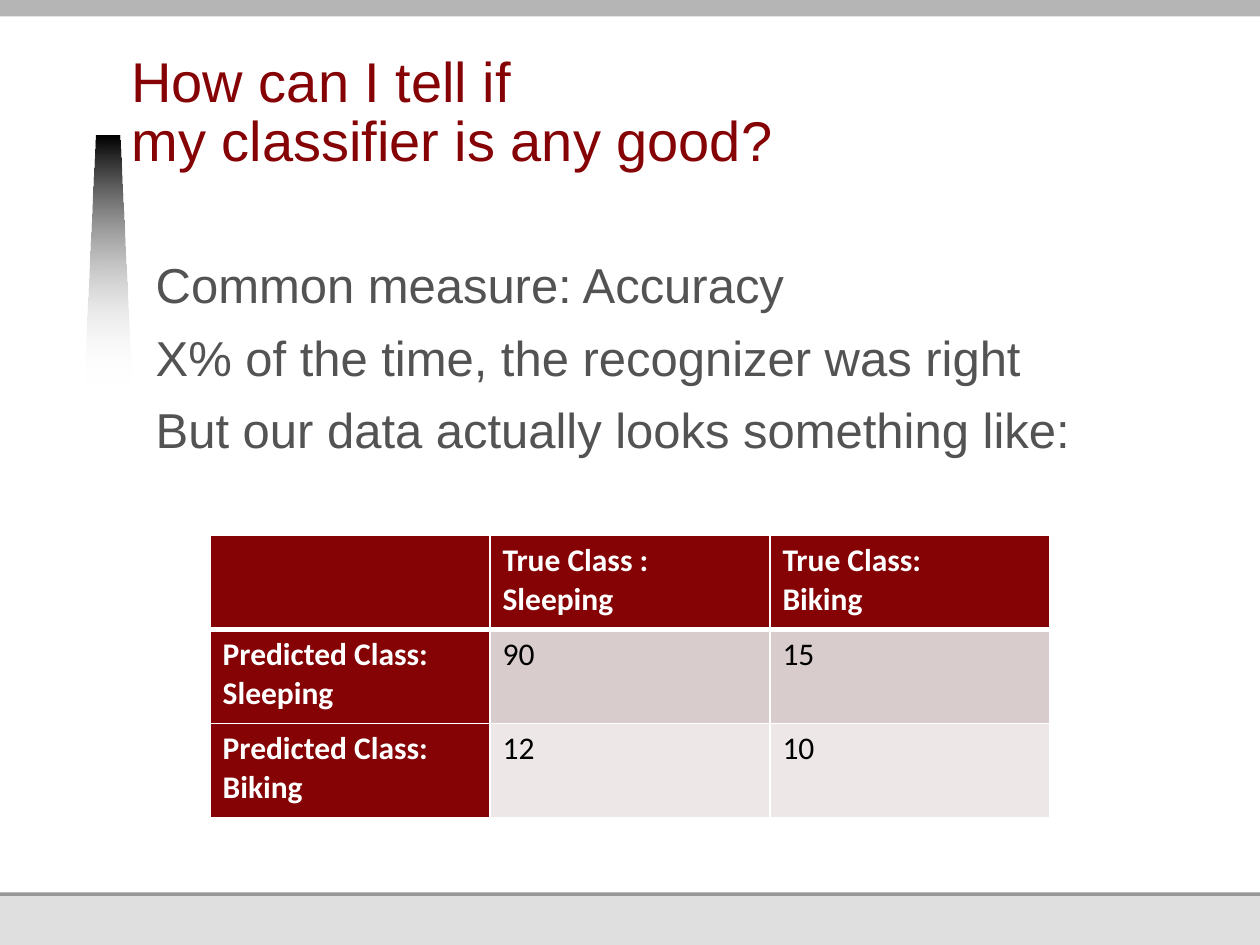
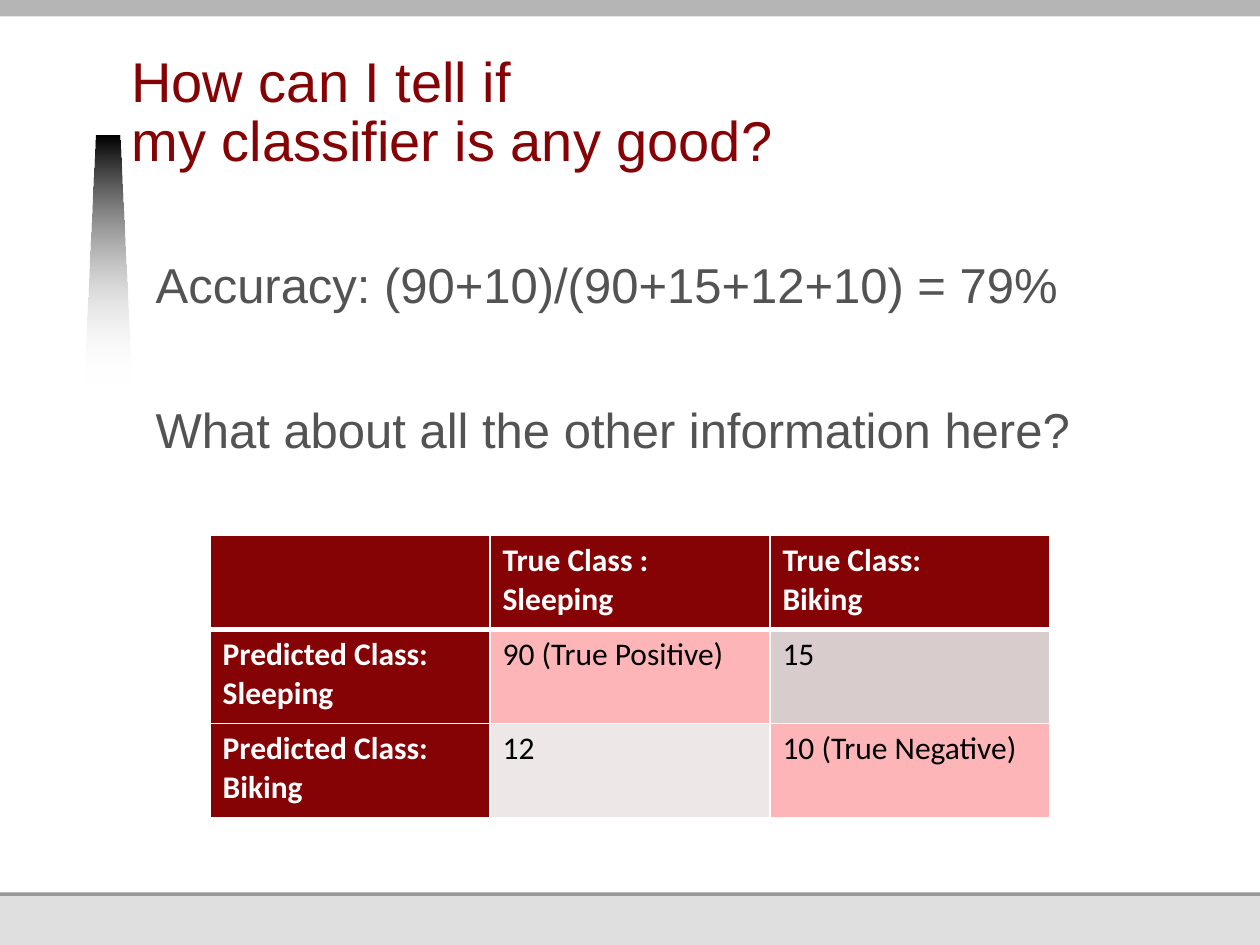
from dataclasses import dataclass

from lxml import etree
from pptx import Presentation
from pptx import util as u
from pptx.dml.color import RGBColor
from pptx.enum import shapes, text
from pptx.oxml.ns import qn

TITLE = ["How can I tell if ", "my classifier is any good?"]
HEADINGS = ["", "True Class : Sleeping", "True Class: \nBiking"]
CLASSES = ["Predicted Class: Sleeping", "Predicted Class: Biking"]

# Each statement carries the space after it in points.
SLIDES = [
    {
        "statements": [
            ("Common measure: Accuracy", 8),
            ("X% of the time, the recognizer was right", 8),
            ("But our data actually looks something like:", 8),
        ],
        "counts": [["90", "15"], ["12", "10"]],
        "mark_correct": False,
    },
    {
        "statements": [
            ("Accuracy: (90+10)/(90+15+12+10) = 79%", 49.6),
            ("What about all the other information here?", 8),
        ],
        "counts": [["90 (True Positive)", "15"], ["12", "10 (True Negative)"]],
        "mark_correct": True,
    },
]


@dataclass(frozen=True)
class Theme:
    accent: str = "850205"
    body: str = "535353"
    black: str = "000000"
    white: str = "FFFFFF"
    top_band: str = "B5B5B5"
    rule: str = "989898"
    footer: str = "DFDFDF"
    correct: str = "FEB5B7"
    row_tints: tuple = ("D9CCCC", "EDE7E7")
    text_font: str = "Arial"
    table_font: str = "Calibri"
    title_size: int = 32
    body_size: int = 28
    table_size: int = 18
    title_pitch: float = 34
    body_pitch: float = 33.6
    thin: int = 1
    thick: int = 3


THEME = Theme()
WIDTH, HEIGHT = 25.4, 19.05
# Stacked from back to front: the footer and its rule show below the white sheet.
PANELS = [
    ((0, 0, WIDTH, HEIGHT), THEME.footer),
    ((0, 4.52, WIDTH, 13.54), THEME.rule),
    ((0, 0, WIDTH, 17.99), THEME.white),
    ((0, -0.1, 25.83, 0.43), THEME.top_band),
]
WEDGE = [(1.71, 7.74), (1.94, 2.74), (2.42, 2.74), (2.65, 7.74)]
TITLE_AREA = (2.65, 0.88, 17.45, 2.74)
BODY_AREA = (3.14, 5.13, 19.58, 12.17)
TABLE_WIDTH, TABLE_TOP, ROW_HEIGHT = 16.93, 10.79, 1.9


def lengths(values):
    return [u.Cm(value) for value in values]


def rgb(code):
    return RGBColor.from_string(code)


def add_span(para, words, font, size, color, bold=False):
    span = para.add_run()
    span.text = words
    span.font.name = font
    span.font.size = u.Pt(size)
    span.font.bold = bold
    span.font.color.rgb = rgb(color)


def add_lines(para, lines, *style):
    """Write lines into one paragraph, with a line break between them."""
    for index, line in enumerate(lines):
        if index:
            para.add_line_break()
        add_span(para, line, *style)


def add_frame(page, area, anchor):
    frame = page.shapes.add_textbox(*lengths(area)).text_frame
    frame.word_wrap = True
    frame.vertical_anchor = anchor
    frame.margin_left = frame.margin_right = frame.margin_top = 0
    frame.margin_bottom = u.Cm(0.13)
    return frame


def add_panels(page):
    for area, color in PANELS:
        panel = page.shapes.add_shape(shapes.MSO_SHAPE.RECTANGLE, *lengths(area))
        panel.shadow.inherit = False
        panel.fill.solid()
        panel.fill.fore_color.rgb = rgb(color)
        panel.line.fill.background()


def add_wedge(page):
    """Draw the wedge beside the title, fading from black to clear."""
    start, *others = [lengths(point) for point in WEDGE]
    outline = page.shapes.build_freeform(*start, scale=1.0)
    outline.add_line_segments(others, close=True)
    wedge = outline.convert_to_shape()
    wedge.shadow.inherit = False
    wedge.line.fill.background()
    wedge.fill.gradient()
    wedge.fill.gradient_angle = 270
    for stop, color in zip(wedge.fill.gradient_stops, (THEME.black, THEME.white)):
        stop.color.rgb = rgb(color)
    clear_end = list(wedge._element.iter(qn("a:gs")))[-1][0]
    etree.SubElement(clear_end, qn("a:alpha"), val="0")


def add_title(page):
    para = add_frame(page, TITLE_AREA, text.MSO_ANCHOR.BOTTOM).paragraphs[0]
    para.line_spacing = u.Pt(THEME.title_pitch)
    add_lines(para, TITLE, THEME.text_font, THEME.title_size, THEME.accent)


def add_statements(page, statements):
    frame = add_frame(page, BODY_AREA, text.MSO_ANCHOR.TOP)
    for index, (words, gap) in enumerate(statements):
        para = frame.add_paragraph() if index else frame.paragraphs[0]
        para.line_spacing = u.Pt(THEME.body_pitch)
        para.space_after = u.Pt(gap)
        add_span(para, words, THEME.text_font, THEME.body_size, THEME.body)


def set_borders(cell, row):
    """Thin white borders, thick between the heading row and the counts."""
    weights = {"L": THEME.thin, "R": THEME.thin,
               "T": THEME.thick if row == 1 else THEME.thin,
               "B": THEME.thick if row == 0 else THEME.thin}
    properties = cell._tc.get_or_add_tcPr()
    for side, weight in weights.items():
        line = etree.SubElement(properties, qn(f"a:ln{side}"), w=str(u.Pt(weight)))
        fill = etree.SubElement(line, qn("a:solidFill"))
        etree.SubElement(fill, qn("a:srgbClr"), val=THEME.white)


def cell_color(row, column, mark_correct):
    if row == 0 or column == 0:
        return THEME.accent
    if mark_correct and row == column:
        return THEME.correct
    return THEME.row_tints[row - 1]


def add_confusion_matrix(page, counts, mark_correct):
    rows = [HEADINGS] + [[name, *row] for name, row in zip(CLASSES, counts)]
    area = ((WIDTH - TABLE_WIDTH) / 2, TABLE_TOP, TABLE_WIDTH, ROW_HEIGHT * len(rows))
    table = page.shapes.add_table(len(rows), len(HEADINGS), *lengths(area)).table
    table.horz_banding = False
    table.first_col = True
    for row, entries in enumerate(rows):
        for column, words in enumerate(entries):
            cell = table.cell(row, column)
            set_borders(cell, row)
            cell.fill.solid()
            cell.fill.fore_color.rgb = rgb(cell_color(row, column, mark_correct))
            heading = row == 0 or column == 0
            if words:
                add_lines(cell.text_frame.paragraphs[0], words.split("\n"),
                          THEME.table_font, THEME.table_size,
                          THEME.white if heading else THEME.black, heading)


def main():
    deck = Presentation()
    deck.slide_width, deck.slide_height = lengths((WIDTH, HEIGHT))
    for content in SLIDES:
        page = deck.slides.add_slide(deck.slide_layouts[6])
        add_panels(page)
        add_wedge(page)
        add_title(page)
        add_statements(page, content["statements"])
        add_confusion_matrix(page, content["counts"], content["mark_correct"])
    deck.save("out.pptx")


if __name__ == "__main__":
    main()
